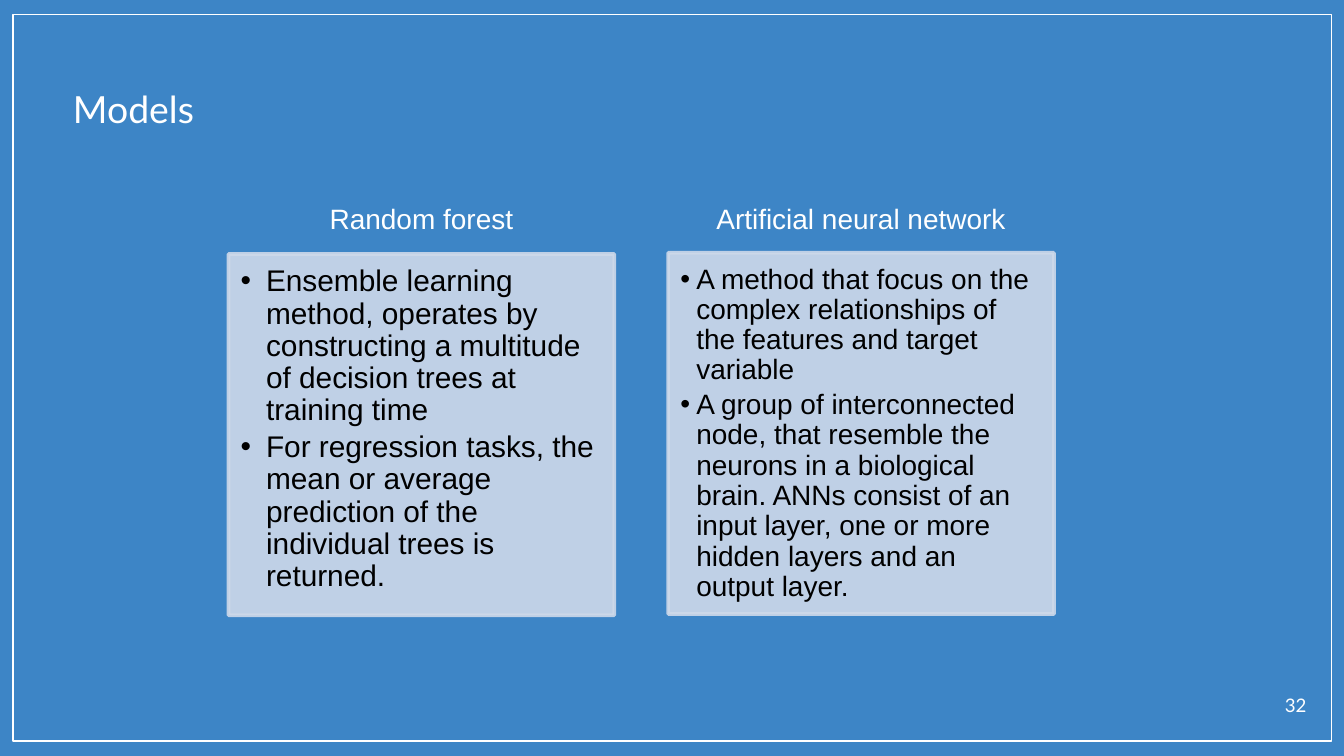
from lxml.etree import SubElement
from pptx import Presentation
from pptx.dml.color import RGBColor
from pptx.enum.shapes import MSO_SHAPE
from pptx.enum.text import MSO_ANCHOR, PP_ALIGN
from pptx.oxml.ns import qn
from pptx.util import Cm, Pt

BLUE, PALE, WHITE, BLACK = "3D85C6", "CED9EA", "FFFFFF", "000000"

MODELS = [
    # heading, body top, text size, bullet indent, points
    ("Random forest", 4.8, 16, 0.48, [
        "Ensemble learning method, operates by constructing a multitude of "
        "decision trees at training time",
        "For regression tasks, the mean or average prediction of the "
        "individual trees is returned.",
    ]),
    ("Artificial neural network", 4.78, 15, 0.3, [
        "A method that focus on the complex relationships of the features "
        "and target variable",
        "A group of interconnected node, that resemble the neurons in a "
        "biological brain. ANNs consist of an input layer, one or more "
        "hidden layers and an output layer.",
    ]),
]


def paint(color_format, value):
    color_format.rgb = RGBColor.from_string(value)


def set_margins(frame, left, top, right, bottom):
    frame.margin_left, frame.margin_top = Cm(left), Cm(top)
    frame.margin_right, frame.margin_bottom = Cm(right), Cm(bottom)


def style_text(frame, size, font, color, align=PP_ALIGN.LEFT):
    frame.word_wrap = True
    for para in frame.paragraphs:
        para.alignment = align
        for span in para.runs:
            span.font.size = Pt(size)
            span.font.name = font
            paint(span.font.color, color)


def add_rectangle(page, box, line, line_width, fill=None):
    shape = page.shapes.add_shape(MSO_SHAPE.RECTANGLE, *map(Cm, box))
    shape.shadow.inherit = False
    if fill:
        shape.fill.solid()
        paint(shape.fill.fore_color, fill)
    else:
        shape.fill.background()
    paint(shape.line.color, line)
    shape.line.width = Pt(line_width)
    return shape


def add_label(page, box, text, size, align=PP_ALIGN.LEFT):
    frame = page.shapes.add_textbox(*map(Cm, box)).text_frame
    frame.text = text
    set_margins(frame, 0.25, 0.25, 0.25, 0.25)
    style_text(frame, size, "Lato", WHITE, align)


def set_opacity(shape, percent):
    """Apply the opacity to both the fill and the outline."""
    for color in shape.element.spPr.iter(qn("a:srgbClr")):
        SubElement(color, qn("a:alpha"), val=str(percent * 1000))


def add_bullet(para, indent):
    properties = para._p.get_or_add_pPr()
    properties.set("marL", str(Cm(indent)))
    properties.set("indent", str(-Cm(indent)))
    bullet_color = SubElement(properties, qn("a:buClr"))
    SubElement(bullet_color, qn("a:srgbClr"), val=BLACK)
    SubElement(properties, qn("a:buFont"), typeface="Arial")
    SubElement(properties, qn("a:buChar"), char="•")


def add_heading(page, box, text):
    shape = add_rectangle(page, box, BLUE, 2, BLUE)
    frame = shape.text_frame
    frame.text = text
    frame.vertical_anchor = MSO_ANCHOR.MIDDLE
    set_margins(frame, 0.3, 0.18, 0.3, 0.18)
    style_text(frame, 15, "Arial", WHITE, PP_ALIGN.CENTER)
    frame.paragraphs[0].line_spacing = 0.9


def add_points(page, box, points, size, indent):
    shape = add_rectangle(page, box, PALE, 2, PALE)
    set_opacity(shape, 90)
    frame = shape.text_frame
    frame.text = "\n".join(points)
    frame.vertical_anchor = MSO_ANCHOR.TOP
    set_margins(frame, 0.23, 0.23, 0.3, 0.35)
    style_text(frame, size, "Arial", BLACK)
    for para in frame.paragraphs:
        para.line_spacing = 0.9
        para.space_after = Pt(round(0.16 * size, 1))
        add_bullet(para, indent)


def add_models(page, box):
    left, top, width, height = box
    gap = 1.02
    column = (width - gap * (len(MODELS) - 1)) / len(MODELS)
    for index, (heading, body_top, size, indent, points) in enumerate(MODELS):
        x = left + index * (column + gap)
        add_heading(page, (x, top, column, 1.19), heading)
        add_points(page, (x, body_top, column, height - 1.22), points, size, indent)


def main():
    deck = Presentation()
    deck.slide_width, deck.slide_height = Cm(25.4), Cm(14.29)
    page = deck.slides.add_slide(deck.slide_layouts[6])
    page.background.fill.solid()
    paint(page.background.fill.fore_color, BLUE)

    add_rectangle(page, (0.25, 0.27, 24.91, 13.74), WHITE, 0.75)
    add_label(page, (1.13, 1.38, 22.86, 1.14), "Models", 20)
    add_label(page, (23.67, 12.9, 1.27, 0.81), "32", 10, PP_ALIGN.RIGHT)
    add_models(page, (4.32, 3.58, 15.6, 8.05))
    deck.save("out.pptx")


if __name__ == "__main__":
    main()
